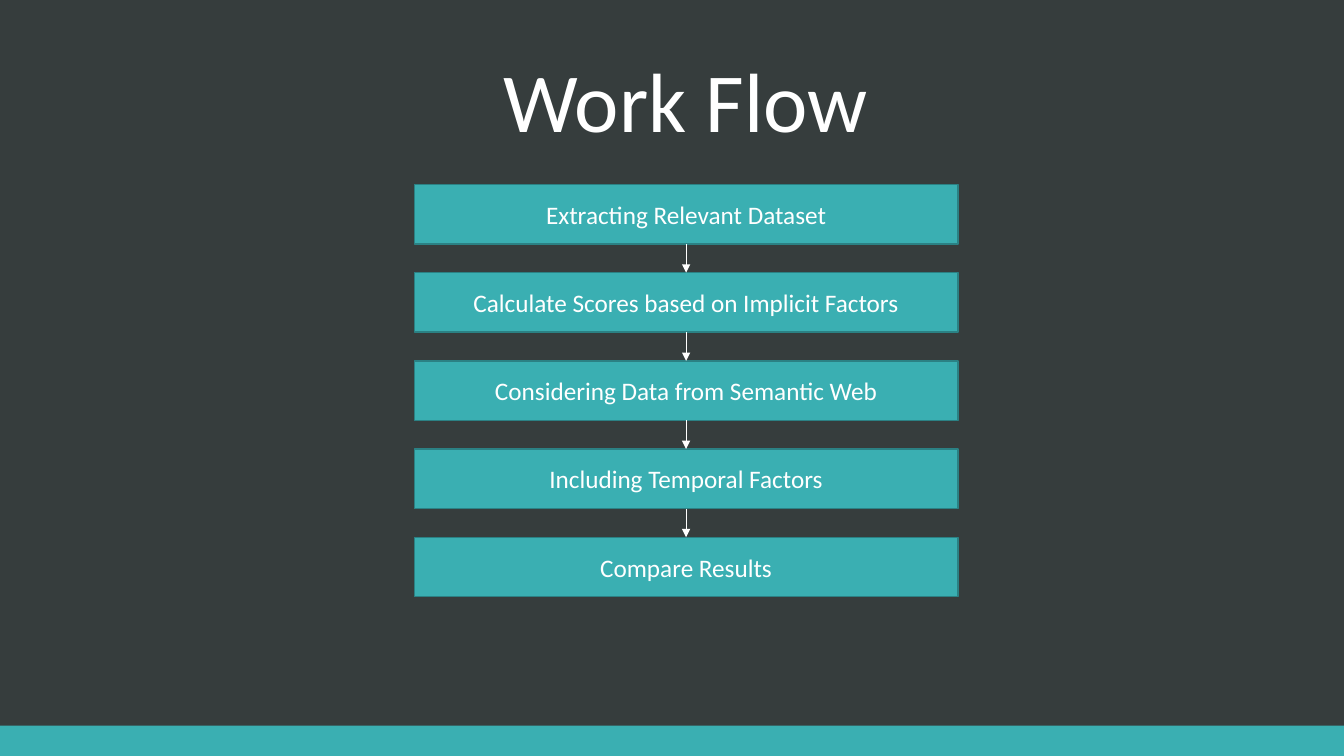
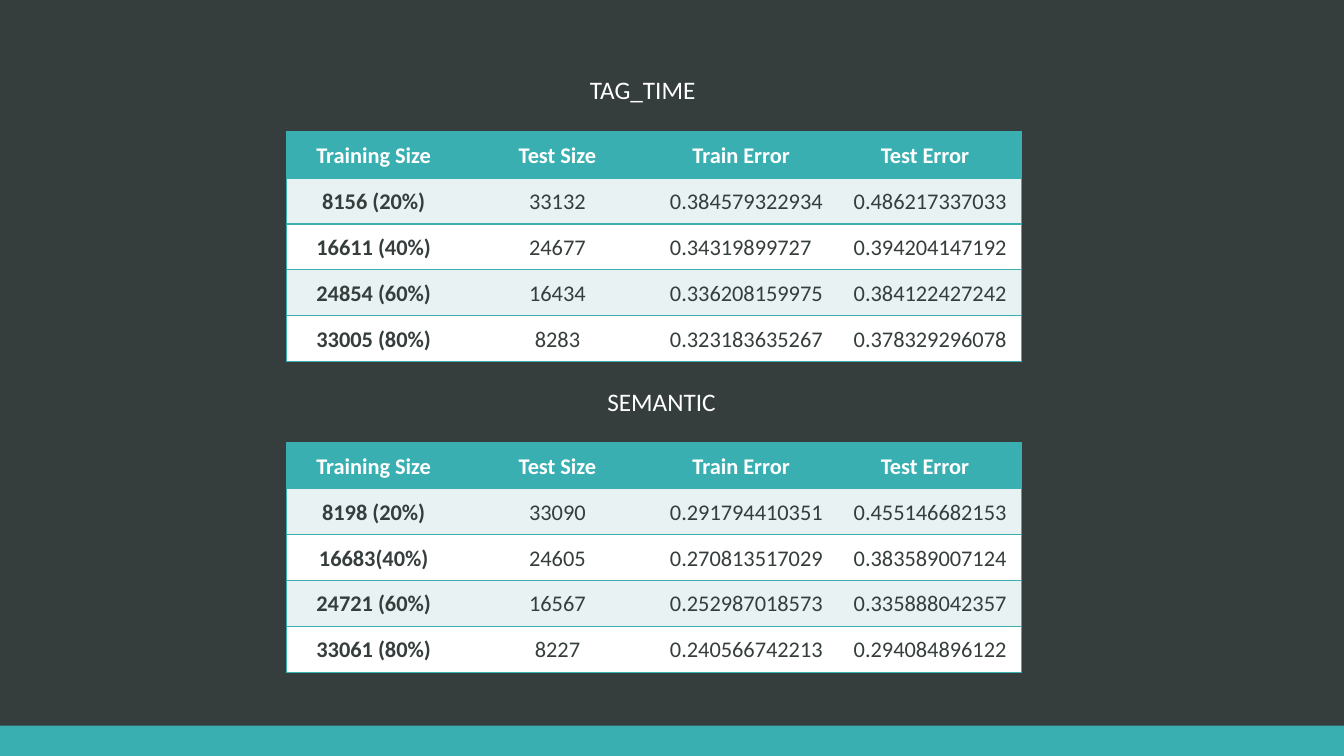
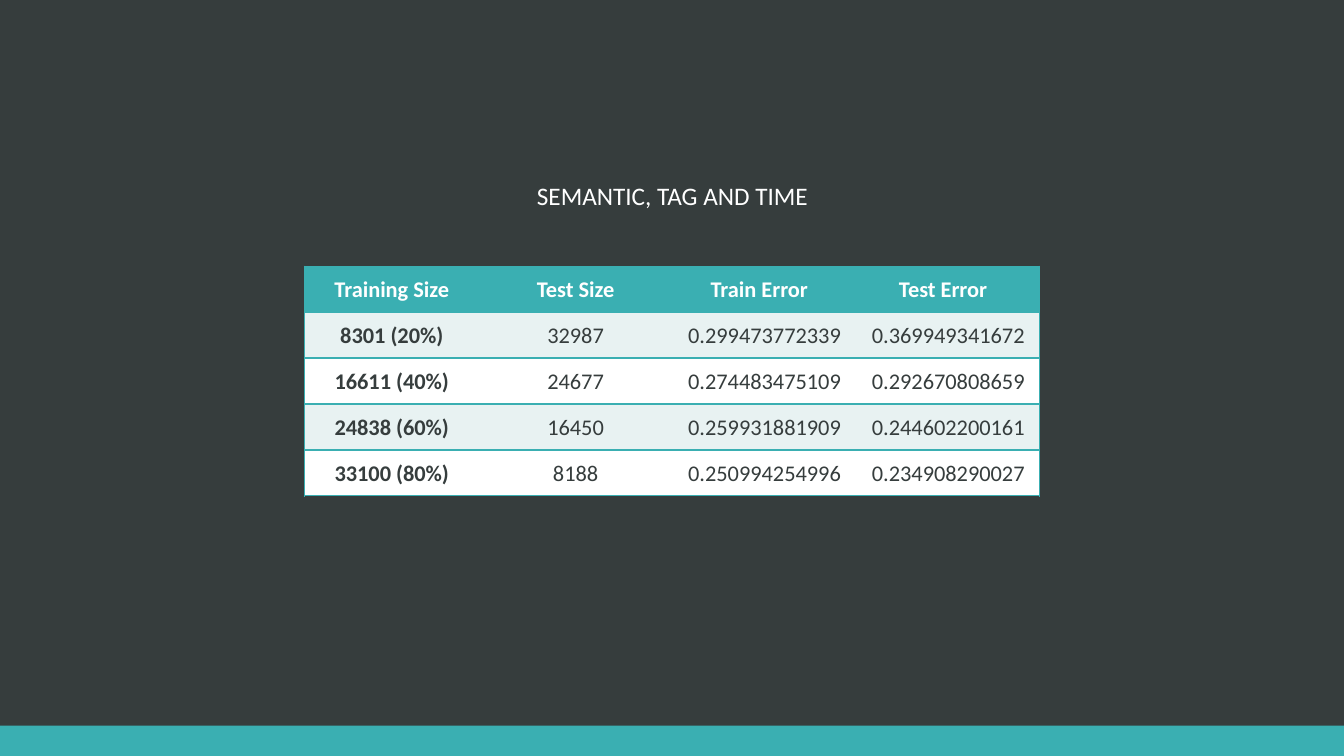
import pptx
import pptx.dml.color
import pptx.enum.shapes
import pptx.enum.text
import pptx.oxml
import pptx.oxml.ns
import pptx.util

Inches = pptx.util.Inches
Pt = pptx.util.Pt
ALIGN = pptx.enum.text.PP_ALIGN
ANCHOR = pptx.enum.text.MSO_ANCHOR


def rgb(value):
    """Turn a hex string into a colour."""
    return pptx.dml.color.RGBColor.from_string(value)


def element(xml):
    """Parse a DrawingML element written with the a: prefix."""
    return pptx.oxml.parse_xml(xml.replace("{ns}", pptx.oxml.ns.nsdecls("a")))


class Deck:
    """Shared style and the slide being built."""

    FONT = "Calibri"
    DARK, TEAL, EDGE = "363D3D", "3AAFB2", "2B8184"
    WHITE, PALE = "FFFFFF", "E8F2F2"
    WIDTH, HEIGHT, BAND = 13.33, 7.5, 0.3

    def __init__(self):
        """Open a widescreen presentation with a dark background."""
        self.prs = pptx.Presentation()
        self.prs.slide_width = Inches(self.WIDTH)
        self.prs.slide_height = Inches(self.HEIGHT)
        fill = self.prs.slide_master.background.fill
        fill.solid()
        fill.fore_color.rgb = rgb(self.DARK)

    def slide(self):
        """Start a blank slide with the bottom band."""
        self.s = self.prs.slides.add_slide(self.prs.slide_layouts[6])
        self.box(0, self.HEIGHT - self.BAND, self.WIDTH, self.BAND)

    def set_text(self, tf, text, size, color=WHITE, align=ALIGN.CENTER,
                 bold=False, spacing=1.0):
        """Fill a text frame with one formatted paragraph."""
        tf.word_wrap = True
        p = tf.paragraphs[0]
        p.text = text
        p.alignment = align
        p.line_spacing = spacing
        for r in p.runs:
            r.font.name, r.font.size = self.FONT, Pt(size)
            r.font.bold, r.font.color.rgb = bold, rgb(color)

    def box(self, x, y, w, h, text="", edge=None):
        """Add a teal rectangle, with a label and an outline if given."""
        sp = self.s.shapes.add_shape(
            pptx.enum.shapes.MSO_SHAPE.RECTANGLE,
            Inches(x), Inches(y), Inches(w), Inches(h))
        sp.shadow.inherit = False
        sp.fill.solid()
        sp.fill.fore_color.rgb = rgb(self.TEAL)
        if edge:
            sp.line.color.rgb = rgb(edge)
            sp.line.width = Pt(1)
        else:
            sp.line.fill.background()
        if text:
            sp.text_frame.vertical_anchor = ANCHOR.MIDDLE
            self.set_text(sp.text_frame, text, 18)
        return sp

    def text(self, text, x, y, w, h, size=18, anchor=ANCHOR.TOP, inset=0.1, **style):
        """Add a text box; inset is its left margin."""
        tf = self.s.shapes.add_textbox(
            Inches(x), Inches(y), Inches(w), Inches(h)).text_frame
        tf.vertical_anchor = anchor
        tf.margin_left = Inches(inset)
        self.set_text(tf, text, size, **style)

    def title(self, text):
        """Add the slide title."""
        self.text(text, 1.6, 0.19, 10.4, 1.35, size=60, anchor=ANCHOR.BOTTOM, spacing=0.9)

    def arrow(self, upper, lower):
        """Join two stacked boxes with a downward arrow."""
        line = self.s.shapes.add_connector(
            pptx.enum.shapes.MSO_CONNECTOR.STRAIGHT, 0, 0, 0, 0)
        line.begin_connect(upper, 2)
        line.end_connect(lower, 0)
        line.line.color.rgb = rgb(self.WHITE)
        line.line.width = Pt(0.5)
        line.line._get_or_add_ln().append(element('<a:tailEnd {ns} type="triangle"/>'))
        line._element.spPr.append(element("<a:effectLst {ns}/>"))

    def borders(self, cell, sides):
        """Draw teal lines on the named sides of a cell and clear the others."""
        solid = f'<a:solidFill><a:srgbClr val="{self.TEAL}"/></a:solidFill>'
        tcPr = cell._tc.get_or_add_tcPr()
        for side in "LRTB":
            fill = solid if side in sides else "<a:noFill/>"
            tcPr.append(element(f'<a:ln{side} {{ns}} w="{Pt(1)}">{fill}</a:ln{side}>'))

    def table(self, x, y, rows):
        """Add an error table with a header row and banded body rows."""
        header = ("Training Size", "Test Size", "Train Error", "Test Error")
        grid = [header, *rows]
        last = len(header) - 1
        frame = self.s.shapes.add_table(len(grid), len(header), Inches(x), Inches(y),
                                        Inches(7.29), Inches(2.28))
        table = frame.table
        table.first_row = table.horz_banding = False
        for i, row in enumerate(grid):
            for j, value in enumerate(row):
                cell = table.cell(i, j)
                self.borders(cell, "TB" + "L" * (j == 0) + "R" * (j == last))
                cell.fill.solid()
                fill = self.TEAL if i == 0 else self.PALE if i % 2 else self.WHITE
                cell.fill.fore_color.rgb = rgb(fill)
                cell.vertical_anchor = ANCHOR.MIDDLE
                centred = i == 0 or j < 2
                left, right = (0.07, 0.16) if centred else (0.16, 0.07)
                cell.margin_left, cell.margin_right = Inches(left), Inches(right)
                cell.margin_top = cell.margin_bottom = 0
                self.set_text(cell.text_frame, value, 16,
                              color=self.DARK if i else self.WHITE,
                              align=ALIGN.CENTER if centred else ALIGN.LEFT,
                              bold=i == 0 or j == 0, spacing=1.07)


deck = Deck()

deck.slide()
deck.title("Work Flow")
steps = ("Extracting Relevant Dataset", "Calculate Scores based on Implicit Factors",
         "Considering Data from Semantic Web", "Including Temporal Factors",
         "Compare Results")
STEP_TOP, STEP_PITCH = 1.83, 3.5 / 4
boxes = [deck.box(4.11, STEP_TOP + i * STEP_PITCH, 5.39, 0.59, step, deck.EDGE)
         for i, step in enumerate(steps)]
for upper, lower in zip(boxes, boxes[1:]):
    deck.arrow(upper, lower)

deck.slide()
deck.text("TAG_TIME", 5.42, 0.69, 2.12, 0.4, inset=0.43, align=ALIGN.LEFT)
deck.text("SEMANTIC", 5.34, 3.78, 2.29, 0.4, inset=0.25)
deck.table(2.84, 1.31, [
    ("8156 (20%)", "33132", "0.384579322934", "0.486217337033"),
    ("16611 (40%)", "24677", "0.34319899727", "0.394204147192"),
    ("24854 (60%)", "16434", "0.336208159975", "0.384122427242"),
    ("33005 (80%)", "8283", "0.323183635267", "0.378329296078"),
])
deck.table(2.84, 4.39, [
    ("8198 (20%)", "33090", "0.291794410351", "0.455146682153"),
    ("16683(40%)", "24605", "0.270813517029", "0.383589007124"),
    ("24721 (60%)", "16567", "0.252987018573", "0.335888042357"),
    ("33061 (80%)", "8227", "0.240566742213", "0.294084896122"),
])

deck.slide()
deck.text("SEMANTIC, TAG AND TIME", 4.65, 1.74, 4.04, 0.4)
deck.table(3.02, 2.64, [
    ("8301 (20%)", "32987", "0.299473772339", "0.369949341672"),
    ("16611 (40%)", "24677", "0.274483475109", "0.292670808659"),
    ("24838 (60%)", "16450", "0.259931881909", "0.244602200161"),
    ("33100 (80%)", "8188", "0.250994254996", "0.234908290027"),
])

deck.prs.save("out.pptx")
